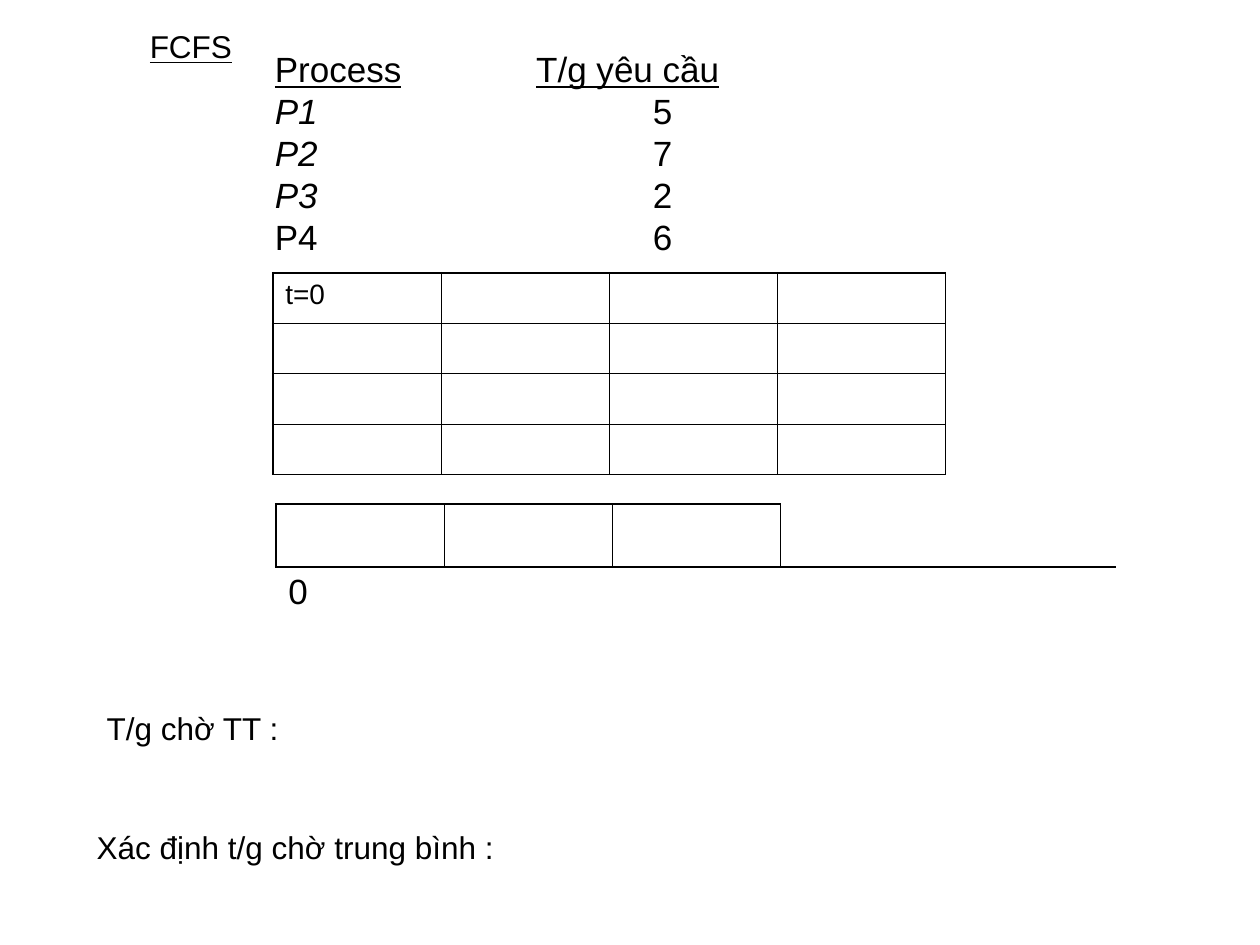
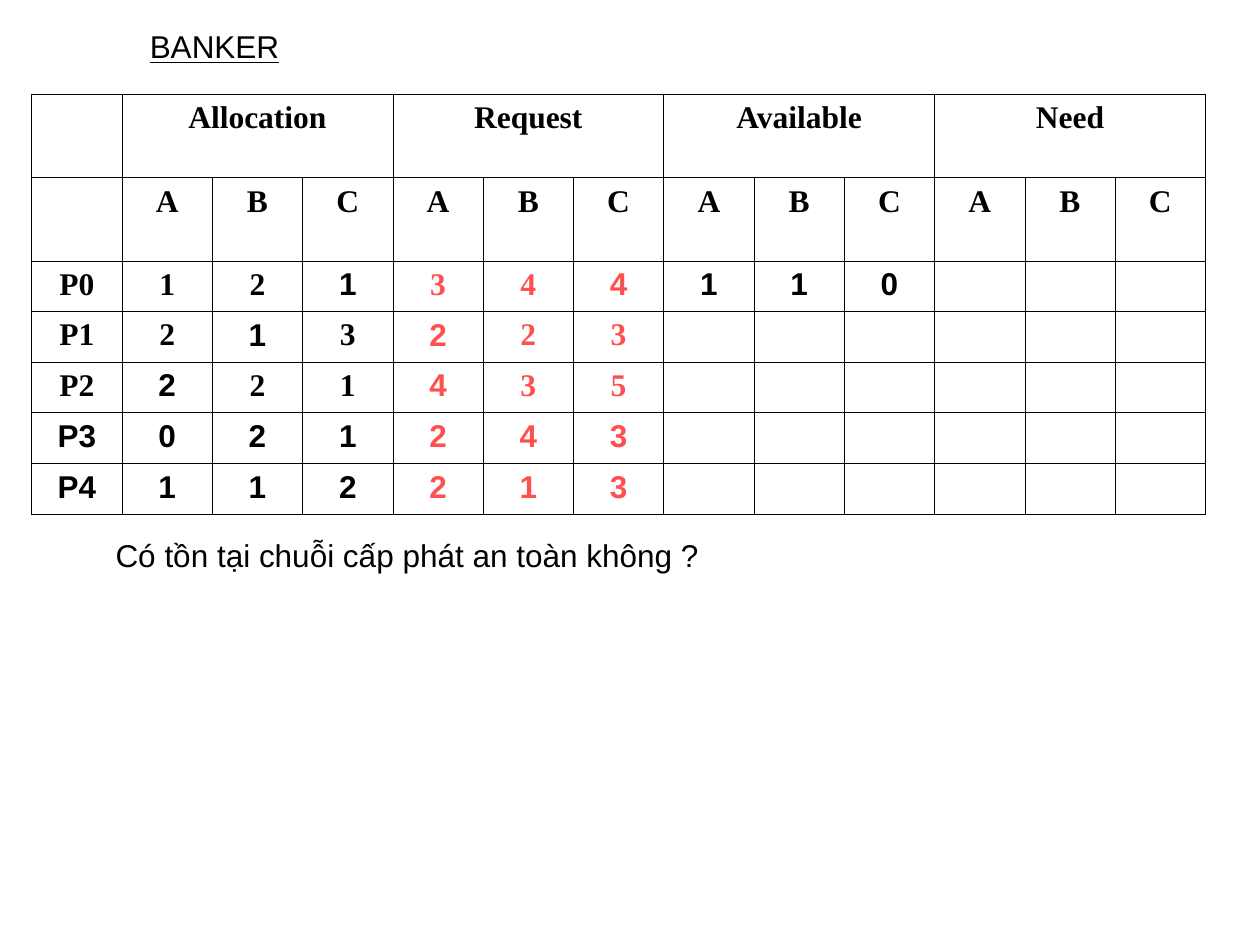
from dataclasses import dataclass

from lxml import etree
from pptx import Presentation
from pptx import util as u
from pptx.dml.color import RGBColor
from pptx.enum import text
from pptx.oxml.ns import qn

BLACK, RED, WHITE = "000000", "FF5050", "FFFFFF"
SANS, SERIF = "Arial", "Times New Roman"
THIN, THICK = 0.45, 1.08
PLAIN_TABLE = "{2D5ABB26-0587-4C30-8999-92F81FD0307C}"


def colour(value):
    return RGBColor.from_string(value)


@dataclass
class Span:
    words: str
    size: float = 18
    font: str = SANS
    ink: str = BLACK
    bold: bool = False
    italic: bool = False
    underline: bool = False


class Sheet:
    def __init__(self, deck):
        self.deck = deck
        self.page = None

    def new_page(self, title):
        self.page = self.deck.slides.add_slide(self.deck.slide_layouts[6])
        self.label(2.77, 0.43, 3.12, [[Span(title, underline=True)]])

    def add_spans(self, para, spans):
        for span in spans:
            run = para.add_run()
            run.text = span.words
            font = run.font
            font.name, font.size = span.font, u.Pt(span.size)
            font.bold, font.italic, font.underline = span.bold, span.italic, span.underline
            font.color.rgb = colour(span.ink)

    def label(self, left, top, width, lines, height=1.02, wrap=False, tabs=()):
        box = self.page.shapes.add_textbox(u.Cm(left), u.Cm(top), u.Cm(width), u.Cm(height))
        frame = box.text_frame
        frame.word_wrap = wrap
        frame.auto_size = text.MSO_AUTO_SIZE.SHAPE_TO_FIT_TEXT
        for number, spans in enumerate(lines):
            para = frame.add_paragraph() if number else frame.paragraphs[0]
            self.add_spans(para, spans)
            if tabs:
                self.tab_stops(para, tabs)

    def tab_stops(self, para, tabs):
        stops = etree.SubElement(para._p.get_or_add_pPr(), qn("a:tabLst"))
        for place in tabs:
            etree.SubElement(stops, qn("a:tab"), pos=str(u.Cm(place)), algn="l")

    def table(self, left, top, widths, heights):
        frame = self.page.shapes.add_table(
            len(heights), len(widths), u.Cm(left), u.Cm(top),
            u.Cm(sum(widths)), u.Cm(sum(heights)))
        table = frame.table
        table.first_row = table.horz_banding = False
        table._tbl.tblPr.find(qn("a:tableStyleId")).text = PLAIN_TABLE
        for column, width in zip(table.columns, widths):
            column.width = u.Cm(width)
        for row, height in zip(table.rows, heights):
            row.height = u.Cm(height)
        return table

    def border(self, cell, **edges):
        props = cell._tc.get_or_add_tcPr()
        for side in "LRTB":
            if side in edges:
                line = etree.SubElement(props, qn("a:ln" + side), w=str(u.Pt(edges[side])))
                fill = etree.SubElement(line, qn("a:solidFill"))
                etree.SubElement(fill, qn("a:srgbClr"), val=BLACK)

    def grid(self, table, outer=THIN):
        last_row, last_column = len(table.rows) - 1, len(table.columns) - 1
        for r in range(last_row + 1):
            for c in range(last_column + 1):
                self.border(table.cell(r, c),
                            L=THIN if c else outer,
                            R=THIN if c < last_column else outer,
                            T=THIN if r else outer,
                            B=THIN if r < last_row else outer)

    def cell_text(self, cell, span, before=0, centred=False):
        para = cell.text_frame.paragraphs[0]
        if before:
            para.space_before = u.Pt(before)
        if centred:
            para.alignment = text.PP_ALIGN.CENTER
        self.add_spans(para, [span])

    def cell_fill(self, cell, value):
        cell.fill.solid()
        cell.fill.fore_color.rgb = colour(value)


def build_fcfs(sheet):
    sheet.new_page("FCFS")
    lines = [[Span("Process", 20, underline=True), Span("\t", 20),
              Span("T/g yêu cầu", 20, underline=True)]]
    for number, burst in enumerate((5, 7, 2, 6), 1):
        lines.append([Span(f"P{number}", 20, italic=number < 4), Span(f"\t\t{burst}", 20)])
    sheet.label(5.29, 0.84, 12.7, lines, height=4.5, wrap=True, tabs=(5.27, 7.62))

    sheet.label(1.7, 16.56, 8.51, [[Span("Xác định t/g chờ trung bình :")]])
    sheet.label(1.9, 14.17, 3.99, [[Span("T/g chờ TT :")]])

    queue = sheet.table(5.5, 5.5, [3.39] * 4, [0.93] * 4)
    sheet.grid(queue, THICK)
    sheet.cell_text(queue.cell(0, 0), Span("t=0", 16), before=4)

    gantt = sheet.table(5.56, 10.16, [3.39] * 3 + [6.77], [1.27] * 2)
    gantt.cell(1, 0).merge(gantt.cell(1, 3))
    for c in range(3):
        sheet.border(gantt.cell(0, c), L=THIN if c else THICK, R=THIN, T=THICK, B=THICK)
    sheet.border(gantt.cell(0, 3), L=THIN, B=THICK)
    for c in range(4):
        sheet.border(gantt.cell(1, c), T=THICK)
    sheet.cell_text(gantt.cell(1, 0), Span("0", 20), before=5)


def build_banker(sheet):
    sheet.new_page("BANKER")
    groups = ("Allocation", "Request", "Available", "Need")
    processes = (
        ("P0", "121344110", "TTTATTAAAA"),
        ("P1", "213223", "TTATATT"),
        ("P2", "221435", "TATTATT"),
        ("P3", "021243", "AAAAAAA"),
        ("P4", "112213", "AAAAAAA"),
    )
    matrix = sheet.table(0.64, 1.9, [1.82] * 13, [1.68] * 2 + [1.02] * 5)
    sheet.grid(matrix)

    def put(r, c, words, font=SERIF, ink=BLACK):
        span = Span(words, font=font, ink=ink, bold=True)
        sheet.cell_text(matrix.cell(r, c), span, centred=True)

    for number, group in enumerate(groups):
        first = 1 + 3 * number
        matrix.cell(0, first).merge(matrix.cell(0, first + 2))
        put(0, first, group)
        for offset, resource in enumerate("ABC"):
            put(1, first + offset, resource)

    for r, (process, amounts, faces) in enumerate(processes, 2):
        for c, (words, face) in enumerate(zip([process, *amounts], faces)):
            put(r, c, words, SERIF if face == "T" else SANS, RED if 4 <= c <= 6 else BLACK)
        for c in range(1, 13):
            sheet.cell_fill(matrix.cell(r, c), WHITE)

    sheet.label(2.08, 10.69, 12.27, [[Span("Có tồn tại chuỗi cấp phát an toàn không ?")]])


def main():
    deck = Presentation()
    deck.slide_width, deck.slide_height = u.Cm(25.4), u.Cm(19.05)
    sheet = Sheet(deck)
    build_fcfs(sheet)
    build_banker(sheet)
    deck.save("out.pptx")


if __name__ == "__main__":
    main()
